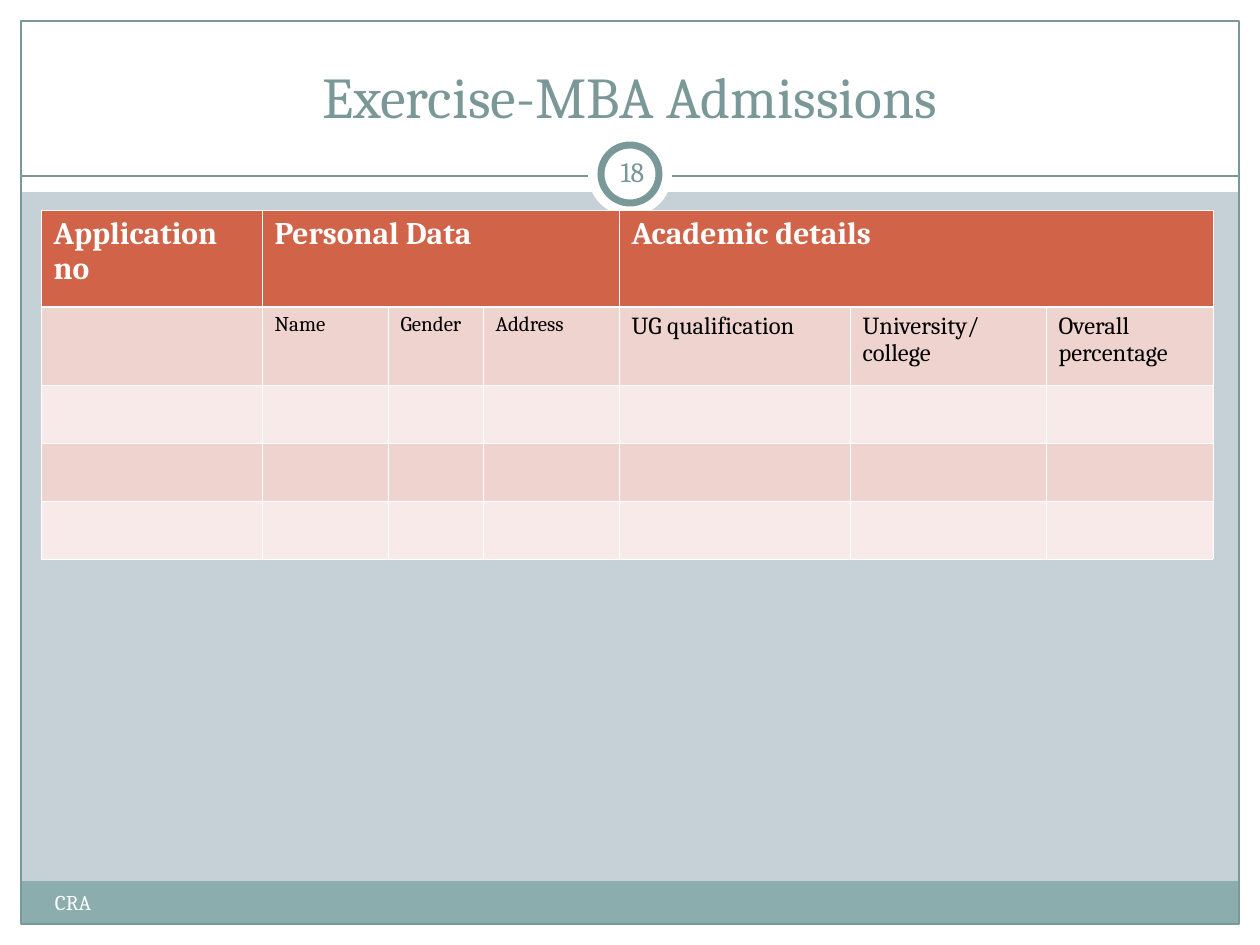
from pptx import Presentation
from pptx.dml.color import RGBColor
from pptx.enum.shapes import MSO_CONNECTOR as Connector, MSO_SHAPE as Shape
from pptx.enum.text import MSO_ANCHOR as Anchor, MSO_AUTO_SIZE as AutoSize, PP_ALIGN as Align
from pptx.oxml.ns import qn
from pptx.util import Emu, Pt
from lxml.etree import SubElement

WHITE = RGBColor(0xFF, 0xFF, 0xFF)
BLACK = RGBColor(0, 0, 0)
SLATE = RGBColor(0x7B, 0x98, 0x99)
TEAL = RGBColor(0x8C, 0xAD, 0xAE)
MIST = RGBColor(0xC5, 0xD1, 0xD7)
RUST = RGBColor(0xD1, 0x63, 0x49)
ROSE = RGBColor(0xEE, 0xD3, 0xCF)
BLUSH = RGBColor(0xF7, 0xEA, 0xE9)

WIDTH, HEIGHT, MARGIN = 1260, 945, 21


def px(length):
    return Emu(round(length * 914400 / 126))


class SlideBuilder:
    font = "Cambria"

    def __init__(self, slide):
        self.slide = slide
        self.shapes = slide.shapes

    def background(self, color):
        fill = self.slide.background.fill
        fill.solid()
        fill.fore_color.rgb = color

    def style(self, paragraph, size, color, bold=False):
        font = paragraph.font
        font.name, font.size, font.bold = self.font, Pt(size), bold
        font.color.rgb = color

    def shape(self, kind, box, fill=None, line=None, weight=0.75):
        shape = self.shapes.add_shape(kind, *map(px, box))
        shape.shadow.inherit = False
        if fill is None:
            shape.fill.background()
        else:
            shape.fill.solid()
            shape.fill.fore_color.rgb = fill
        if line is None:
            shape.line.fill.background()
        else:
            shape.line.color.rgb = line
            shape.line.width = Pt(weight)

    def rule(self, left, right, y, color):
        line = self.shapes.add_connector(Connector.STRAIGHT, px(left), px(y), px(right), px(y))
        line.line.color.rgb = color
        line.line.width = Pt(0.75)
        SubElement(line.element.spPr, qn("a:effectLst"))

    def fill_frame(self, frame, text, size, color, align, anchor):
        frame.word_wrap = True
        frame.auto_size = AutoSize.NONE
        frame.vertical_anchor = anchor
        frame.text = text
        paragraph = frame.paragraphs[0]
        paragraph.alignment = align
        self.style(paragraph, size, color)

    def title(self, text, box, size, color):
        title = self.shapes.title
        title.left, title.top, title.width, title.height = map(px, box)
        self.fill_frame(title.text_frame, text, size, color, Align.CENTER, Anchor.BOTTOM)
        self.shapes.element.append(title.element)

    def text(self, text, box, size, color, align=Align.LEFT, anchor=Anchor.TOP, side=13):
        frame = self.shapes.add_textbox(*map(px, box)).text_frame
        frame.margin_left = frame.margin_right = px(side)
        self.fill_frame(frame, text, size, color, align, anchor)

    def table(self, left, top, widths, heights):
        box = (left, top, sum(widths), sum(heights))
        table = self.shapes.add_table(len(heights), len(widths), *map(px, box)).table
        for column, width in zip(table.columns, widths):
            column.width = px(width)
        for row, height in zip(table.rows, heights):
            row.height = px(height)
        return table

    def cell(self, cell, fill, top=0.45, bottom=0.45):
        properties = cell._tc.get_or_add_tcPr()
        for side, weight in (("L", 0.45), ("R", 0.45), ("T", top), ("B", bottom)):
            border = SubElement(properties, qn(f"a:ln{side}"), w=str(Pt(weight)))
            SubElement(SubElement(border, qn("a:solidFill")), qn("a:srgbClr"), val=str(WHITE))
        cell.fill.solid()
        cell.fill.fore_color.rgb = fill

    def cell_text(self, cell, text, size, color, bold=False):
        cell.text = text
        paragraph = cell.text_frame.paragraphs[0]
        paragraph.line_spacing = 0.96
        self.style(paragraph, size, color, bold)


def add_backdrop(builder):
    builder.background(MIST)
    for band in (
        (0, HEIGHT - MARGIN, WIDTH, MARGIN),
        (0, 0, WIDTH, 192),
        (0, 0, MARGIN, HEIGHT),
        (WIDTH - MARGIN, 0, MARGIN, HEIGHT),
    ):
        builder.shape(Shape.RECTANGLE, band, WHITE)
    inner_width, inner_height = WIDTH - 2 * MARGIN, HEIGHT - 2 * MARGIN
    builder.shape(Shape.RECTANGLE, (MARGIN, 881, inner_width, 43), TEAL)
    builder.shape(Shape.RECTANGLE, (MARGIN, MARGIN, inner_width, inner_height), line=SLATE)
    builder.rule(MARGIN, WIDTH - MARGIN, 176, SLATE)
    builder.shape(Shape.OVAL, (588, 132, 84, 84), WHITE)
    builder.shape(Shape.OVAL, (601, 145, 58, 58), WHITE, SLATE, 4)


def add_admissions(builder):
    groups = {0: ("Application no", 1), 1: ("Personal Data", 3), 4: ("Academic details", 3)}
    fields = [
        ("Name", 12), ("Gender", 12), ("Address", 12),
        ("UG qualification", 14), ("University/ college", 14), ("Overall percentage", 14),
    ]
    admissions = builder.table(41, 210, [221, 126, 95, 136, 231, 196, 167], [97, 78, 58, 58, 58])
    for index, row in enumerate(admissions.rows):
        fill = RUST if index == 0 else ROSE if index % 2 else BLUSH
        for cell in row.cells:
            builder.cell(cell, fill, 1.47 if index == 1 else 0.45, 1.47 if index == 0 else 0.45)
    for column, (group, span) in groups.items():
        heading = admissions.cell(0, column)
        if span > 1:
            heading.merge(admissions.cell(0, column + span - 1))
        builder.cell_text(heading, group, 18, WHITE, True)
    for column, (field, size) in enumerate(fields, 1):
        builder.cell_text(admissions.cell(1, column), field, size, BLACK)


def main():
    deck = Presentation()
    deck.slide_width, deck.slide_height = px(WIDTH), px(HEIGHT)
    builder = SlideBuilder(deck.slides.add_slide(deck.slide_layouts[5]))
    add_backdrop(builder)
    builder.title("Exercise-MBA Admissions", (42, 31, 1176, 105), 33, SLATE)
    add_admissions(builder)
    builder.text("CRA", (42, 883, 494, 50), 12, WHITE)
    builder.text("18", (601, 141, 63, 60), 16, SLATE, Align.CENTER, Anchor.MIDDLE, 6)
    deck.save("out.pptx")


if __name__ == "__main__":
    main()
